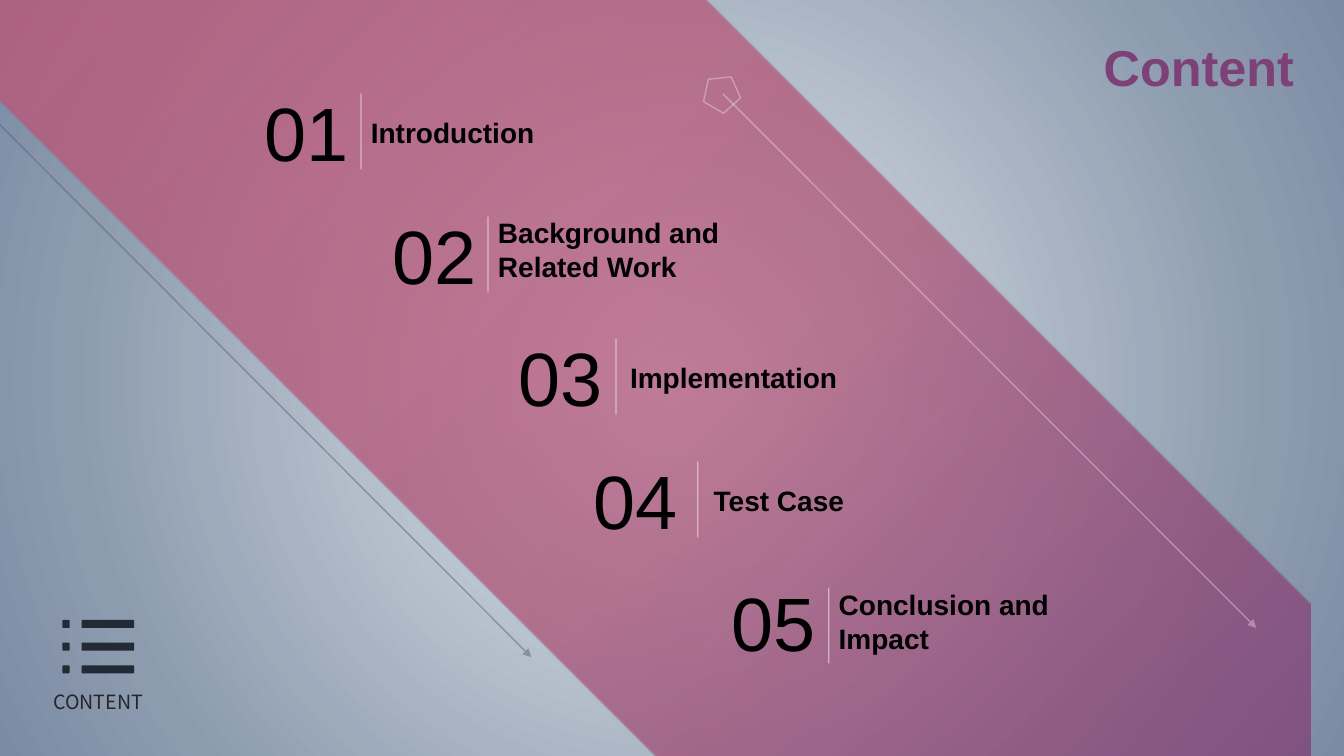
from lxml import etree
from pptx import Presentation
from pptx.dml.color import RGBColor
from pptx.enum.shapes import MSO_CONNECTOR, MSO_SHAPE
from pptx.enum.text import MSO_ANCHOR, PP_ALIGN
from pptx.oxml.ns import qn
from pptx.util import Inches, Pt

LINE = MSO_CONNECTOR.STRAIGHT
ROUND = MSO_SHAPE.ROUNDED_RECTANGLE
PENTA = MSO_SHAPE.REGULAR_PENTAGON
LEFT, MID = PP_ALIGN.LEFT, PP_ALIGN.CENTER
TOP, CENTER = MSO_ANCHOR.TOP, MSO_ANCHOR.MIDDLE

COLORS = {
    "pale": "E4E9EF", "mist": "8C9BAE", "steel": "7B8BA4",
    "plum": "7D4178", "rose": "AB4A70", "pink": "C54F71",
    "white": "FFFFFF", "black": "000000", "slate": "536275",
    "ink": "222A35", "gray": "262626",
}


def write(text, x, y, w, h, size, color="black", bold=False,
          align=LEFT, anchor=CENTER, font="Arial"):
    frame = slide.shapes.add_textbox(Inches(x), Inches(y), Inches(w), Inches(h)).text_frame
    frame.word_wrap = True
    frame.vertical_anchor = anchor
    para = frame.paragraphs[0]
    para.alignment = align
    run = para.add_run()
    run.text = text
    run.font.name = font
    run.font.size = Pt(size)
    run.font.bold = bold
    run.font.color.rgb = RGBColor.from_string(COLORS[color])
    props = run.font.color._xFill.getparent()
    etree.SubElement(props, qn("a:ea")).set("typeface", font)


def stroke(shape, color, alpha):
    shape.line.width = Pt(1)
    shape.line.color.rgb = RGBColor.from_string(COLORS[color])
    tint = shape.line._ln.find(".//" + qn("a:srgbClr"))
    etree.SubElement(tint, qn("a:alpha")).set("val", str(alpha * 1000))


deck = Presentation()
deck.slide_width = Inches(13.33)
deck.slide_height = Inches(7.5)
slide = deck.slides.add_slide(deck.slide_layouts[6])

build = slide.shapes.build_freeform(0, 0, scale=Inches(1))
build.add_line_segments([(7.21, 0), (13.33, 6.25), (13.33, 7.5), (6.55, 7.5), (0, 0.82)])
band = build.convert_to_shape()
band.shadow.inherit = False
band.line.fill.background()

back = slide.background.fill
back.gradient()
band.fill.gradient()
fades = [
    (slide.element.cSld.find(qn("p:bg")), (50, 50, 50, 50),
     [(0, "pale", 100), (78, "mist", 100), (100, "steel", 100)]),
    (band.element, (100, 100, 0, 0),
     [(0, "plum", 77), (45, "rose", 68), (100, "pink", 68)]),
]
for owner, focus, stops in fades:
    grad = owner.find(".//" + qn("a:gradFill"))
    for child in list(grad):
        grad.remove(child)
    ramp = etree.SubElement(grad, qn("a:gsLst"))
    for pos, color, alpha in stops:
        stop = etree.SubElement(ramp, qn("a:gs"), pos=str(pos * 1000))
        tint = etree.SubElement(stop, qn("a:srgbClr"), val=COLORS[color])
        etree.SubElement(tint, qn("a:alpha"), val=str(alpha * 1000))
    shade = etree.SubElement(grad, qn("a:path"), path="circle")
    rect = etree.SubElement(shade, qn("a:fillToRect"))
    for side, part in zip("ltrb", focus):
        rect.set(side, str(part * 1000))

write("Content", 10.62, 0.3, 2.54, 0.71, 36, "plum", True, MID)
write("CONTENT", 0.33, 6.8, 1.29, 0.34, 14, "gray", False, MID, TOP, "Noto Sans CJK SC")

penta = slide.shapes.add_shape(PENTA, Inches(6.98), Inches(0.74), Inches(0.37), Inches(0.35))
penta.rotation = 30
penta.shadow.inherit = False
penta.fill.background()
stroke(penta, "white", 32)

lines = [
    (7.17, 0.93, 12.46, 6.23, "white", 32, True),
    (-0.02, 1.22, 5.27, 6.52, "slate", 50, True),
]
items = [
    ("Introduction", 2.29, 3.58, 0.93, 3.58, 1.09, 2.1, 0.44),
    ("Background and Related Work", 3.56, 4.84, 2.15, 4.84, 2.09, 3.05, 0.77),
    ("Implementation", 4.81, 6.11, 3.36, 6.15, 3.52, 2.48, 0.44),
    ("Test Case", 5.55, 6.92, 4.58, 6.98, 4.74, 2.1, 0.44),
    ("Conclusion and Impact", 6.92, 8.22, 5.83, 8.22, 5.78, 2.4, 0.77),
]
for i, (label, num, bar, top, x, y, w, h) in enumerate(items):
    write(label, x, y, w, h, 20, bold=True)
    write(f"{i + 1:02}", num, 0.8 + 1.215 * i, 1.5, 1.01, 54, align=MID)
    lines.append((bar, top, bar, top + 0.75, "white", 49, False))

for x1, y1, x2, y2, color, alpha, arrow in lines:
    line = slide.shapes.add_connector(LINE, Inches(x1), Inches(y1), Inches(x2), Inches(y2))
    stroke(line, color, alpha)
    if arrow:
        etree.SubElement(line.line._ln, qn("a:tailEnd"), type="triangle")
    etree.SubElement(line.element.spPr, qn("a:effectLst"))

for row in range(3):
    for x, w in ((0.62, 0.07), (0.81, 0.52)):
        mark = slide.shapes.add_shape(
            ROUND, Inches(x), Inches(6.15 + 0.225 * row), Inches(w), Inches(0.08))
        mark.adjustments[0] = 0.12
        mark.shadow.inherit = False
        mark.fill.solid()
        mark.fill.fore_color.rgb = RGBColor.from_string(COLORS["ink"])
        mark.line.fill.background()

deck.save("out.pptx")
